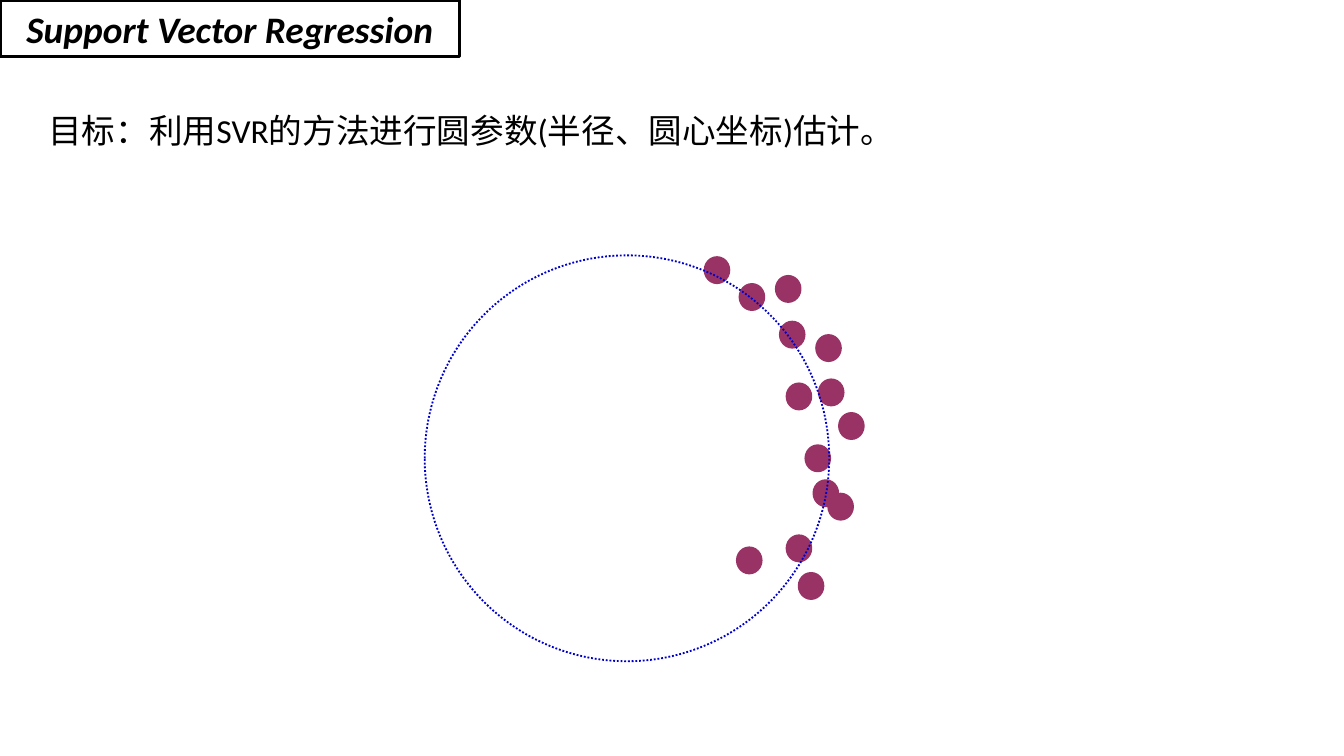
from collections import namedtuple
from dataclasses import dataclass

from pptx import Presentation
from pptx.dml.color import RGBColor
from pptx.enum.dml import MSO_LINE
from pptx.enum.shapes import MSO_SHAPE
from pptx.enum.text import MSO_ANCHOR, MSO_AUTO_SIZE, PP_ALIGN
from pptx.util import Inches, Pt

OVAL = MSO_SHAPE.OVAL
RECTANGLE = MSO_SHAPE.RECTANGLE
MIDDLE = MSO_ANCHOR.MIDDLE
CENTER = PP_ALIGN.CENTER
FIT_SHAPE = MSO_AUTO_SIZE.SHAPE_TO_FIT_TEXT
DOTTED = MSO_LINE.ROUND_DOT

Box = namedtuple("Box", "left top width height")


@dataclass(frozen=True)
class Theme:
    font: str = "Calibri"
    title_size: int = 20
    body_size: int = 18
    text: RGBColor = RGBColor(0, 0, 0)
    paper: RGBColor = RGBColor(255, 255, 255)
    sample: RGBColor = RGBColor(153, 51, 102)
    circle: RGBColor = RGBColor(0, 0, 204)
    heavy_line: int = 2
    fine_line: int = 1


THEME = Theme()
SLIDE = Box(0, 0, Inches(10), Inches(10) * 9 // 16)
SLIDE_GRID = (1000, 562.5)
CIRCLE_GRID = (301, 302)
SAMPLE_SIZE = (17, 18)
SAMPLES = [
    (294, 93), (309, 118), (279, 237), (290, 168), (270, 209),
    (235, 22), (292, 60), (284, 142), (233, 218), (265, 50),
    (262, 16), (209, 2), (270, 96), (301, 178),
]


def place(box, grid, column, row, columns, rows):
    cell_width = box.width / grid[0]
    cell_height = box.height / grid[1]
    return Box(
        round(box.left + column * cell_width),
        round(box.top + row * cell_height),
        round(columns * cell_width),
        round(rows * cell_height),
    )


def add_outlined_shape(slide, kind, box, fill, line, width):
    shape = slide.shapes.add_shape(kind, *box)
    shape.shadow.inherit = False
    if fill is None:
        shape.fill.background()
    else:
        shape.fill.solid()
        shape.fill.fore_color.rgb = fill
    shape.line.color.rgb = line
    shape.line.width = Pt(width)
    return shape


def write(paragraph, text, size):
    paragraph.text = text
    paragraph.font.name = THEME.font
    paragraph.font.size = Pt(size)
    paragraph.font.color.rgb = THEME.text


def add_samples(slide, box):
    for column, row in SAMPLES:
        sample_box = place(box, CIRCLE_GRID, column, row, *SAMPLE_SIZE)
        add_outlined_shape(slide, OVAL, sample_box, THEME.sample, THEME.sample, THEME.heavy_line)


def add_fitted_circle(slide, box):
    circle = add_outlined_shape(slide, OVAL, box, None, THEME.circle, THEME.fine_line)
    circle.line.dash_style = DOTTED


def add_title(slide, box):
    title = add_outlined_shape(slide, RECTANGLE, box, THEME.paper, THEME.text, THEME.heavy_line)
    title.text_frame.vertical_anchor = MIDDLE
    paragraph = title.text_frame.paragraphs[0]
    write(paragraph, "Support Vector Regression", THEME.title_size)
    paragraph.alignment = CENTER
    paragraph.font.bold = True
    paragraph.font.italic = True


def add_goal(slide, box):
    frame = slide.shapes.add_textbox(*box).text_frame
    frame.word_wrap = True
    frame.auto_size = FIT_SHAPE
    frame.margin_left = Inches(0.32)
    write(frame.paragraphs[0], "目标：利用SVR的方法进行圆参数(半径、圆心坐标)估计。", THEME.body_size)


def main():
    presentation = Presentation()
    presentation.slide_width = SLIDE.width
    presentation.slide_height = SLIDE.height
    slide = presentation.slides.add_slide(presentation.slide_layouts[6])
    circle_box = place(SLIDE, SLIDE_GRID, 316, 190, 301, 302)
    add_samples(slide, circle_box)
    add_title(slide, place(SLIDE, SLIDE_GRID, 0, 0, 342, 42))
    add_goal(slide, place(SLIDE, SLIDE_GRID, 4, 77, 926, 40))
    add_fitted_circle(slide, circle_box)
    presentation.save("out.pptx")


if __name__ == "__main__":
    main()
